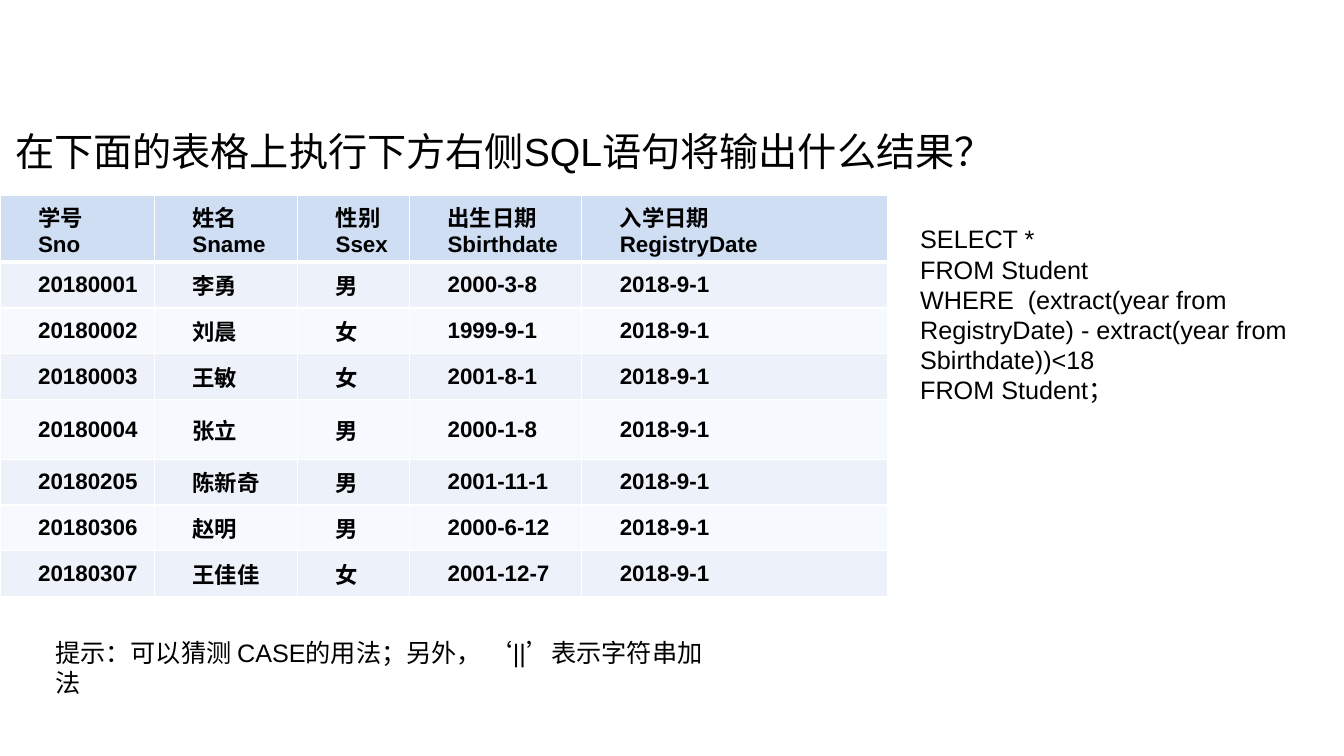
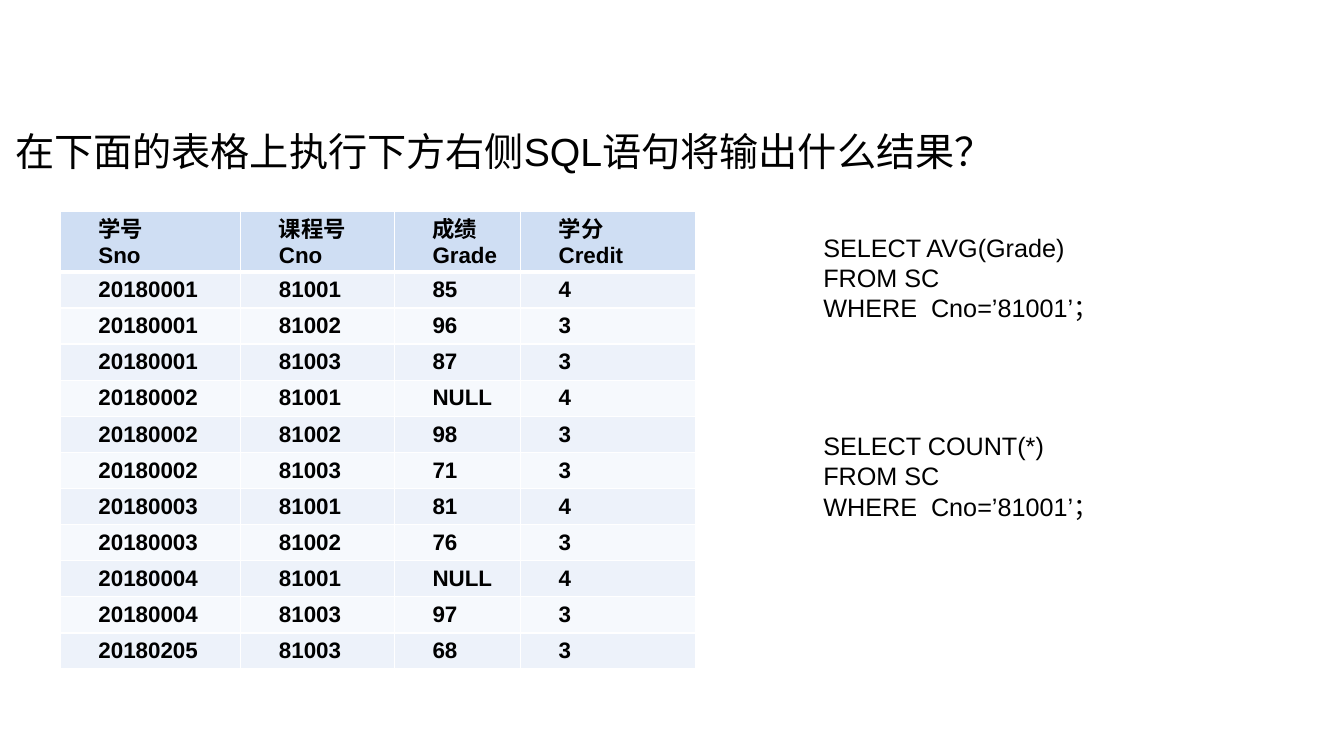
from dataclasses import dataclass

from lxml.etree import SubElement
from pptx import Presentation
from pptx.dml.color import RGBColor
from pptx.enum.text import MSO_ANCHOR, PP_ALIGN
from pptx.oxml.ns import qn
from pptx.util import Cm, Pt


@dataclass(frozen=True)
class Theme:
    font: str = "Arial"
    ink: str = "000000"
    border: str = "FFFFFF"
    header: str = "CFDEF3"
    bands: tuple = ("EDF2FA", "F6F9FD")
    title_size: int = 28
    body_size: int = 18
    cell_size: int = 16
    thin: int = 1
    thick: int = 3


THEME = Theme()
QUESTION = "在下面的表格上执行下方右侧SQL语句将输出什么结果？"

# Table contents
STUDENTS = [
    ("学号\nSno", "姓名\nSname", "性别\nSsex", "出生日期\nSbirthdate", "入学日期\nRegistryDate"),
    ("20180001", "李勇", "男", "2000-3-8", "2018-9-1"),
    ("20180002", "刘晨", "女", "1999-9-1", "2018-9-1"),
    ("20180003", "王敏", "女", "2001-8-1", "2018-9-1"),
    ("20180004", "张立", "男", "2000-1-8", "2018-9-1"),
    ("20180205", "陈新奇", "男", "2001-11-1", "2018-9-1"),
    ("20180306", "赵明", "男", "2000-6-12", "2018-9-1"),
    ("20180307", "王佳佳", "女", "2001-12-7", "2018-9-1"),
]
GRADES = [
    ("学号\nSno", "课程号\nCno", "成绩\nGrade", "学分\nCredit"),
    ("20180001", "81001", "85", "4"),
    ("20180001", "81002", "96", "3"),
    ("20180001", "81003", "87", "3"),
    ("20180002", "81001", "NULL", "4"),
    ("20180002", "81002", "98", "3"),
    ("20180002", "81003", "71", "3"),
    ("20180003", "81001", "81", "4"),
    ("20180003", "81002", "76", "3"),
    ("20180004", "81001", "NULL", "4"),
    ("20180004", "81003", "97", "3"),
    ("20180205", "81003", "68", "3"),
]

# SQL statements
YOUNG_STUDENTS = """SELECT *
FROM Student
WHERE  (extract(year from RegistryDate) - extract(year from Sbirthdate))<18
FROM Student；"""
AVERAGE_GRADE = """SELECT AVG(Grade)
FROM SC
WHERE  Cno=’81001’；"""
GRADE_COUNT = """SELECT COUNT(*)
FROM SC
WHERE  Cno=’81001’；"""


def write_text(frame, text, *, size=THEME.body_size, bold=False, align=None,
               spacing=None, indent=None):
    """Fill a text frame, one paragraph per line of text."""
    frame.word_wrap = True
    for number, line in enumerate(text.split("\n")):
        paragraph = frame.paragraphs[0] if number == 0 else frame.add_paragraph()
        paragraph.alignment = align
        paragraph.line_spacing = spacing
        if indent is not None:
            properties = paragraph._p.get_or_add_pPr()
            properties.set("marL", "0")
            properties.set("indent", str(indent))
        run = paragraph.add_run()
        run.text = line
        run.font.name = THEME.font
        run.font.size = Pt(size)
        run.font.bold = bold
        run.font.color.rgb = RGBColor.from_string(THEME.ink)


def add_text(slide, text, left, top, width, height, **text_format):
    box = slide.shapes.add_textbox(Cm(left), Cm(top), Cm(width), Cm(height))
    write_text(box.text_frame, text, **text_format)


def add_borders(cell, **widths):
    """Draw the cell's edges; widths are in points by edge tag."""
    properties = cell._tc.get_or_add_tcPr()
    for edge in ("lnL", "lnR", "lnT", "lnB"):
        line = SubElement(properties, qn(f"a:{edge}"),
                          w=str(Pt(widths.get(edge, THEME.thin))))
        fill = SubElement(line, qn("a:solidFill"))
        SubElement(fill, qn("a:srgbClr"), val=THEME.border)


def format_cell(cell, text, row, header_anchor):
    is_header = row == 0
    cell.margin_left = cell.margin_right = Cm(0.2)
    cell.margin_top = cell.margin_bottom = 0
    cell.vertical_anchor = header_anchor if is_header else MSO_ANCHOR.MIDDLE
    # The header rule is shared by the first two rows
    if is_header:
        add_borders(cell, lnB=THEME.thick)
    else:
        add_borders(cell, lnT=THEME.thick if row == 1 else THEME.thin)
    cell.fill.solid()
    color = THEME.header if is_header else THEME.bands[(row - 1) % 2]
    cell.fill.fore_color.rgb = RGBColor.from_string(color)
    write_text(cell.text_frame, text, size=THEME.cell_size, bold=True, indent=Cm(0.76))


def add_data_table(slide, records, left, top, widths, heights,
                   header_anchor=MSO_ANCHOR.MIDDLE):
    table = slide.shapes.add_table(
        len(records), len(widths), Cm(left), Cm(top),
        Cm(sum(widths)), Cm(sum(heights))).table
    for column, width in zip(table.columns, widths):
        column.width = Cm(width)
    for row, (record, height) in enumerate(zip(records, heights)):
        table.rows[row].height = Cm(height)
        for column, text in enumerate(record):
            format_cell(table.cell(row, column), text, row, header_anchor)


def add_question_slide(deck):
    slide = deck.slides.add_slide(deck.slide_layouts[6])
    add_text(slide, QUESTION, 0.13, 2.72, 33.07, 1.8, size=THEME.title_size,
             align=PP_ALIGN.JUSTIFY, spacing=1.3)
    return slide


def build_student_slide(deck):
    slide = add_question_slide(deck)
    row = 1.15
    add_data_table(slide, STUDENTS, 0, 4.93, (3.89, 3.61, 2.82, 4.34, 7.7),
                   [1.68] + [row] * 3 + [1.52] + [row] * 3)
    add_text(slide, YOUNG_STUDENTS, 22.94, 5.51, 10.36, 4.88)
    add_text(slide, "提示：可以猜测 CASE的用法；另外， ‘||’表示字符串加法",
             1.14, 15.93, 16.94, 1.02)


def build_grade_slide(deck):
    slide = add_question_slide(deck)
    add_data_table(slide, GRADES, 1.52, 5.33, (4.55, 3.87, 3.18, 4.4),
                   [1.52] + [0.91] * (len(GRADES) - 1), header_anchor=MSO_ANCHOR.TOP)
    for statement, top in ((AVERAGE_GRADE, 5.72), (GRADE_COUNT, 10.72)):
        add_text(slide, statement, 20.5, top, 10.36, 2.57)


def main():
    deck = Presentation()
    deck.slide_width, deck.slide_height = Cm(33.87), Cm(19.05)
    build_student_slide(deck)
    build_grade_slide(deck)
    deck.save("out.pptx")


if __name__ == "__main__":
    main()
